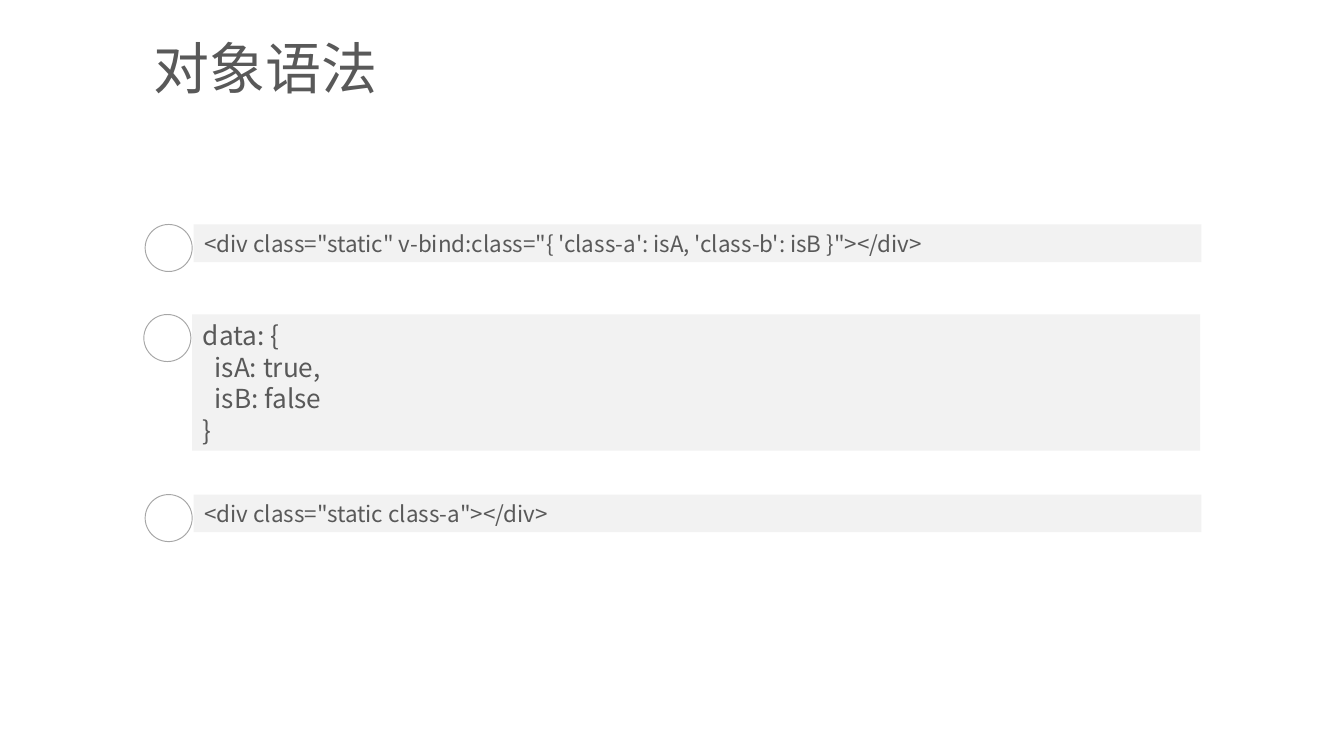
from lxml import etree
from pptx import Presentation
from pptx import util as u
from pptx.dml.color import RGBColor
from pptx.enum import shapes, text
from pptx.oxml import ns

W = 10
H = W * 9 / 16
FONT = "Noto Sans CJK SC"
COLORS = {"text": "595959", "panel": "F2F2F2", "ring": "A6A6A6"}


def color(name):
    return RGBColor.from_string(COLORS[name])


def write(sp, lines, size):
    tf = sp.text_frame
    tf.word_wrap = True
    tf.vertical_anchor = text.MSO_ANCHOR.TOP
    tf.margin_left = tf.margin_right = u.Inches(0.08)
    tf.margin_top = tf.margin_bottom = u.Inches(0.04)
    for i, line in enumerate(lines):
        p = tf.paragraphs[0] if i == 0 else tf.add_paragraph()
        p.add_run().text = line
        p.alignment = text.PP_ALIGN.LEFT
        p.line_spacing = u.Pt(size * 1.2)
        p.font.size = u.Pt(size)
        p.font.name = FONT
        p.font.color.rgb = color("text")
        latin = p._p.find(".//" + ns.qn("a:latin"))
        ea = etree.Element(ns.qn("a:ea"), typeface=FONT)
        latin.addnext(ea)


prs = Presentation()
prs.slide_width, prs.slide_height = u.Inches(W), u.Inches(H)
s = prs.slides.add_slide(prs.slide_layouts[6])

RING = 0.35
PANEL_OFFSET = 0.36
PANEL_WIDTH = W * 0.75
rows = [
    (1.08, 1.67, 12, ["<div class=\"static\" v-bind:class=\"{ 'class-a': isA, 'class-b': isB }\"></div>"]),
    (1.07, 2.34, 14, ["data: {", "  isA: true,", "  isB: false", "}"]),
    (1.08, 3.68, 12, ['<div class="static class-a"></div>']),
]

for left, top, size, lines in rows:
    height = len(lines) * size * 1.2 / 72 + 0.08
    panel = s.shapes.add_shape(
        shapes.MSO_SHAPE.RECTANGLE, u.Inches(left + PANEL_OFFSET), u.Inches(top),
        u.Inches(PANEL_WIDTH), u.Inches(height))
    panel.shadow.inherit = False
    panel.fill.solid()
    panel.fill.fore_color.rgb = color("panel")
    panel.line.fill.background()
    write(panel, lines, size)

    ring = s.shapes.add_shape(
        shapes.MSO_SHAPE.OVAL, u.Inches(left), u.Inches(top), u.Inches(RING), u.Inches(RING))
    ring.shadow.inherit = False
    ring.fill.background()
    ring.line.color.rgb = color("ring")
    ring.line.width = u.Pt(0.5)

title = s.shapes.add_textbox(*[u.Inches(v) for v in (1.06, 0.21, 1.89, 0.58)])
write(title, ["对象语法"], 30)

prs.save("out.pptx")
